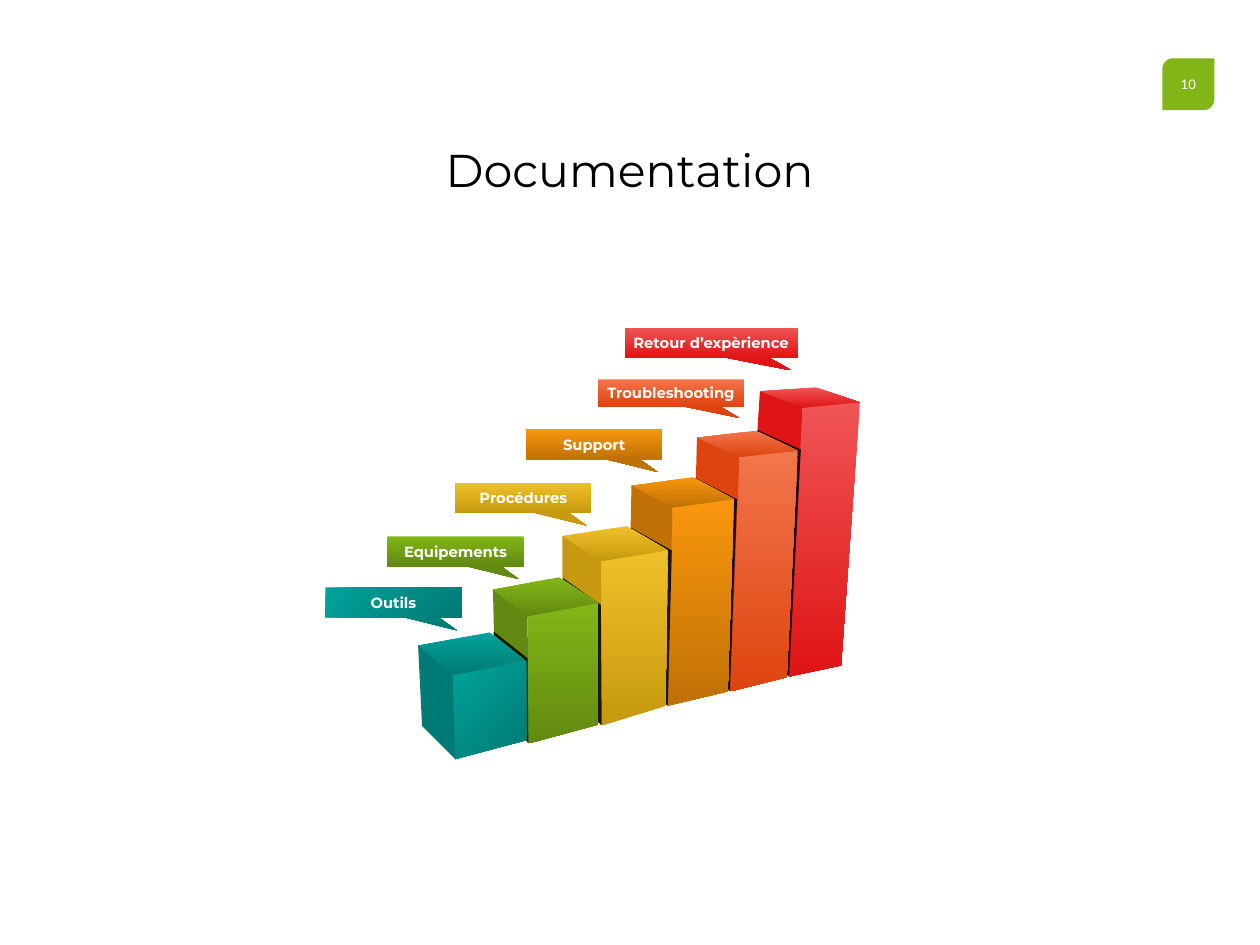
from dataclasses import dataclass

from pptx import Presentation
from pptx import util as u
from pptx.dml.color import RGBColor
from pptx.enum import shapes, text
from pptx.oxml import parse_xml
from pptx.oxml.ns import nsdecls


@dataclass(frozen=True)
class Theme:
    white: str = "FFFFFF"
    black: str = "000000"
    green: str = "82B617"
    head: float = 42
    label: float = 13.5
    page: float = 12
    main: str = "Montserrat"
    small: str = "Lato"
    shade: int = 84


@dataclass(frozen=True)
class Step:
    name: str
    light: str
    dark: str
    tag: tuple
    back: tuple
    left: tuple
    near: tuple
    right: tuple
    feet: tuple
    gap: tuple = ()
    angle: int = 270


THEME = Theme()
TAG = (124.6, 27.4)

STEPS = [
    Step("Retour d’expèrience", "F05455", "DF1415", (571, 299.5, 158.4, 27.4),
         (745.9, 354.2), (694.8, 357.8), (733.7, 373), (786.2, 367.9),
         ((680.4, 588.2), (721.4, 618.5), (769, 608.4)),
         ((732.2, 411.1), (692.6, 393.1), (692.6, 394.6), (728.6, 411.8), (718.6, 616.3))),
    Step("Troubleshooting", "F2754B", "DE4410", (546.5, 347, 133.9, 24.5),
         (691.2, 393.8), (637.2, 400.3), (676.1, 418), (729.4, 412.2),
         ((632.2, 599.8), (667.4, 632.2), (719.3, 619.2)),
         ((673.9, 456.5), (635.8, 437), (635.8, 438.5), (671, 456.5), (665.3, 630))),
    Step("Support", "F9960E", "C07105", (481, 392.4, *TAG),
         (633.6, 436.3), (577.4, 444.2), (614.9, 464.4), (671, 456.5),
         ((573.8, 618.5), (610.6, 645.1), (665.3, 632.2)),
         ((614.2, 503.3), (576.7, 482.4), (576.7, 483.8), (609.8, 503.3), (607.7, 643))),
    Step("Procédures", "F0C02B", "C6990E", (416.2, 441.4, *TAG),
         (573.1, 481), (514.1, 490.3), (549.4, 513.4), (610.6, 503.3),
         ((514.8, 636.5), (550.1, 663.1), (608.4, 645.1)),
         ((549.4, 553), (514.8, 528.5), (514.8, 529.9), (545.8, 551.5), (546.5, 659.5))),
    Step("Equipements", "82B617", "628911", (354.2, 490.3, *TAG),
         (511.2, 527.8), (450.7, 539.3), (482.4, 563.8), (547.2, 551.5),
         ((452.9, 635), (483.1, 679.7), (547.2, 662.4)),
         ((482.4, 601.9), (451.4, 577.4), (451.4, 580.3), (480.2, 603.4), (480.2, 675.4))),
    Step("Outils", "00A39B", "007A74", (297.4, 537.1, *TAG),
         (447.8, 578.2), (382.3, 590.4), (414, 617.8), (481, 604.8),
         ((385.9, 663.8), (416.2, 694.1), (481, 676.8)), angle=315),
]


def paint(shape, light, dark=None, angle=270):
    shape.shadow.inherit = False
    shape.line.fill.background()
    if dark is None:
        shape.fill.solid()
        shape.fill.fore_color.rgb = RGBColor.from_string(light)
        return
    shape.fill.gradient()
    shape.fill.gradient_angle = angle
    for stop, color in zip(shape.fill.gradient_stops, (light, dark)):
        stop.color.rgb = RGBColor.from_string(color)


def write(shape, words, size, font=THEME.main, color=THEME.white, bold=False,
          anchor=text.MSO_ANCHOR.MIDDLE):
    frame = shape.text_frame
    frame.word_wrap = False
    frame.vertical_anchor = anchor
    para = frame.paragraphs[0]
    para.alignment = text.PP_ALIGN.CENTER
    run = para.add_run()
    run.text = words
    run.font.size = u.Pt(size)
    run.font.name = font
    run.font.bold = bold
    run.font.color.rgb = RGBColor.from_string(color)
    return frame


def preset(slide, kind, box, *marks):
    shape = slide.shapes.add_shape(kind, *map(u.Pt, box))
    for i, mark in enumerate(marks):
        shape.adjustments[i] = mark
    return shape


def face(slide, points, *colors, angle=270):
    first, *rest = [tuple(map(u.Pt, point)) for point in points]
    path = slide.shapes.build_freeform(*first)
    path.add_line_segments(rest, close=True)
    shape = path.convert_to_shape()
    paint(shape, *colors, angle=angle)
    return shape


def fade(shape, percent):
    color = shape.fill._xPr.solidFill[0]
    color.append(parse_xml(f'<a:alpha {nsdecls("a")} val="{percent * 1000}"/>'))


def bar(slide, step):
    low, foot, end = step.feet
    colors = step.light, step.dark
    face(slide, (step.back, step.left, step.near, step.right), *colors)
    face(slide, (step.near, step.right, end, foot), *colors, angle=step.angle)
    face(slide, (step.left, step.near, foot, low), step.dark)
    if step.gap:
        fade(face(slide, (foot, *step.gap), THEME.black), THEME.shade)


def label(slide, step):
    shape = preset(slide, shapes.MSO_SHAPE.RECTANGULAR_CALLOUT, step.tag, 0.465, 0.93)
    paint(shape, step.light, step.dark, step.angle)
    write(shape, step.name, THEME.label, bold=True)


def badge(slide, words):
    kind = shapes.MSO_SHAPE.ROUND_2_DIAG_RECTANGLE
    shape = preset(slide, kind, (1062.7, 53.3, 47.5, 47.5), 0.207, 0)
    paint(shape, THEME.green)
    write(shape, words, THEME.page, font=THEME.small)


def title(slide, words):
    shape = slide.shapes.add_textbox(*map(u.Pt, (396.7, 126.7, 357.8, 56.9)))
    frame = write(shape, words, THEME.head, color=THEME.black, anchor=text.MSO_ANCHOR.TOP)
    frame.auto_size = text.MSO_AUTO_SIZE.SHAPE_TO_FIT_TEXT
    frame.margin_left = frame.margin_right = u.Pt(5.8)
    frame.margin_top = frame.margin_bottom = u.Pt(2.9)


def main():
    deck = Presentation()
    deck.slide_width, deck.slide_height = u.Pt(1152), u.Pt(864)
    slide = deck.slides.add_slide(deck.slide_layouts[6])
    badge(slide, "10")
    for step in STEPS:
        bar(slide, step)
    for step in STEPS:
        label(slide, step)
    title(slide, "Documentation")
    deck.save("out.pptx")


if __name__ == "__main__":
    main()
